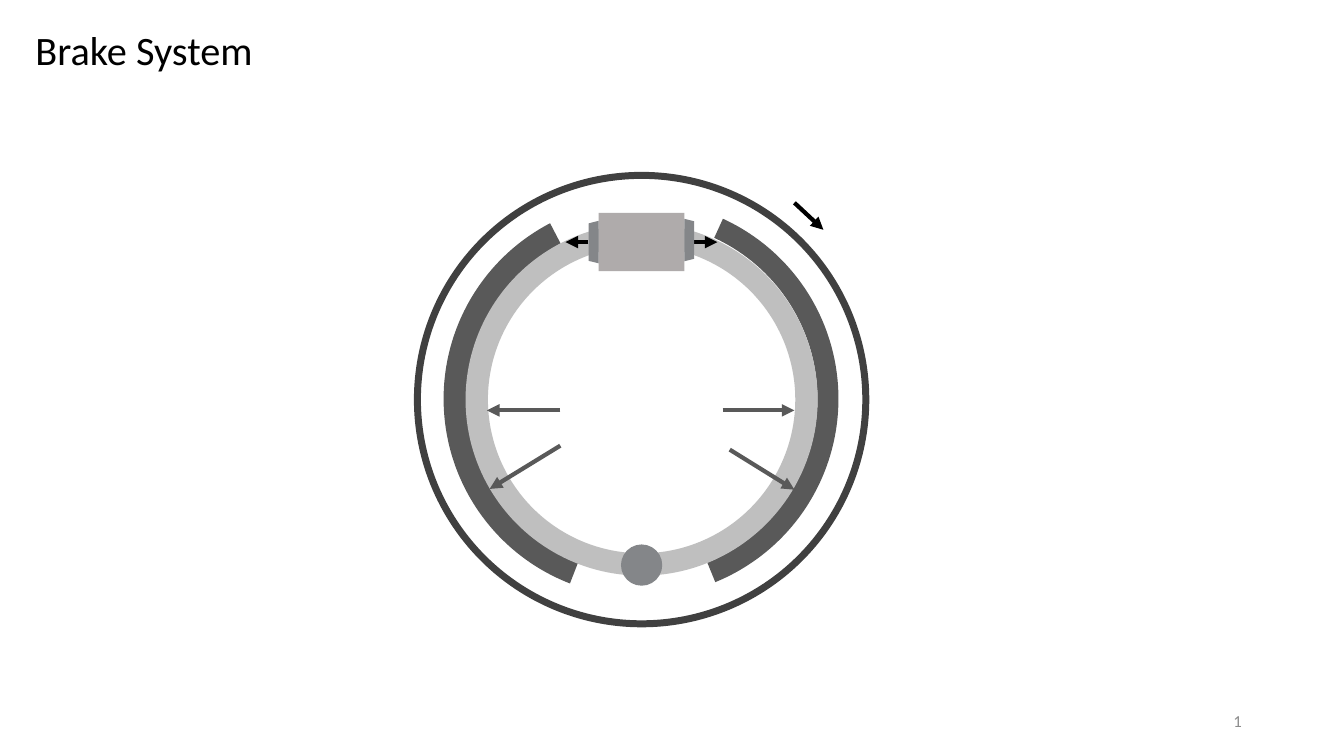
from dataclasses import dataclass
from typing import Optional

from lxml.etree import SubElement
from pptx import Presentation
from pptx.dml.color import RGBColor
from pptx.enum.shapes import MSO_CONNECTOR, MSO_SHAPE
from pptx.enum.text import MSO_ANCHOR, PP_ALIGN
from pptx.oxml.ns import qn
from pptx.shapes.autoshape import Shape
from pptx.slide import Slide
from pptx.util import Cm, Pt

BLACK = RGBColor(0x00, 0x00, 0x00)
DRUM_GREY = RGBColor(0x40, 0x40, 0x40)
LINING_GREY = RGBColor(0x59, 0x59, 0x59)
SHOE_GREY = RGBColor(0xBF, 0xBF, 0xBF)
CYLINDER_GREY = RGBColor(0xAF, 0xAB, 0xAB)
METAL_GREY = RGBColor(0x84, 0x86, 0x89)
NUMBER_GREY = RGBColor(0x8C, 0x8C, 0x8C)

FONT = "Calibri"
CENTER_X = 16.17
CENTER_Y = 10.07
CYLINDER_Y = 6.1


@dataclass
class Part:
    kind: MSO_SHAPE
    center_x: float
    center_y: float
    width: float
    height: float
    color: RGBColor
    outline: Optional[float] = None
    rotation: float = 0
    adjustments: tuple[float, ...] = ()


@dataclass
class Arrow:
    start: tuple[float, float]
    end: tuple[float, float]
    color: RGBColor


WHEEL = [
    Part(MSO_SHAPE.OVAL, CENTER_X, CENTER_Y, 11.3, 11.3, DRUM_GREY, outline=5),
    Part(MSO_SHAPE.BLOCK_ARC, 16.14, 10.05, 9.98, 9.98, LINING_GREY,
         rotation=93.4, adjustments=(120.73, 200.64, 0.053)),
    Part(MSO_SHAPE.BLOCK_ARC, CENTER_X, 10.05, 9.98, 9.98, LINING_GREY,
         rotation=270, adjustments=(120.73, 199.48, 0.058)),
    Part(MSO_SHAPE.OVAL, CENTER_X, CENTER_Y, 8.31, 8.31, SHOE_GREY, outline=16),
    Part(MSO_SHAPE.RECTANGLE, CENTER_X, CYLINDER_Y, 2.16, 1.47, CYLINDER_GREY),
]

ARROWS = [
    Arrow((17.32, CYLINDER_Y), (18.08, CYLINDER_Y), BLACK),
    Arrow((14.83, CYLINDER_Y), (14.25, CYLINDER_Y), BLACK),
    Arrow((20.02, 5.11), (20.75, 5.79), BLACK),
    Arrow((18.21, 10.34), (20.02, 10.34), LINING_GREY),
    Arrow((14.12, 10.34), (12.27, 10.34), LINING_GREY),
    Arrow((14.12, 11.23), (12.34, 12.32), LINING_GREY),
    Arrow((18.39, 11.33), (20.02, 12.34), LINING_GREY),
]

PISTONS_AND_PIN = [
    Part(MSO_SHAPE.TRAPEZOID, 14.96, CYLINDER_Y, 1.07, 0.25, METAL_GREY, rotation=270),
    Part(MSO_SHAPE.TRAPEZOID, 17.37, 6.05, 1.07, 0.25, METAL_GREY, rotation=90),
    Part(MSO_SHAPE.OVAL, CENTER_X, 14.24, 1.04, 1.04, METAL_GREY),
]


def draw_part(page: Slide, part: Part) -> None:
    shape = page.shapes.add_shape(
        part.kind,
        Cm(part.center_x - part.width / 2),
        Cm(part.center_y - part.height / 2),
        Cm(part.width),
        Cm(part.height),
    )
    shape.shadow.inherit = False
    shape.rotation = part.rotation
    for index, value in enumerate(part.adjustments):
        shape.adjustments[index] = value
    if part.outline is None:
        shape.fill.solid()
        shape.fill.fore_color.rgb = part.color
        shape.line.fill.background()
    else:
        shape.fill.background()
        shape.line.color.rgb = part.color
        shape.line.width = Pt(part.outline)


def draw_arrow(page: Slide, arrow: Arrow) -> None:
    start_x, start_y = arrow.start
    end_x, end_y = arrow.end
    connector = page.shapes.add_connector(
        MSO_CONNECTOR.STRAIGHT, Cm(start_x), Cm(start_y), Cm(end_x), Cm(end_y)
    )
    connector.line.color.rgb = arrow.color
    connector.line.width = Pt(3)
    properties = connector._element.spPr
    SubElement(properties.find(qn("a:ln")), qn("a:tailEnd"), type="triangle")
    SubElement(properties, qn("a:effectLst"))


def write_text(box: Shape, text: str, *, size: float, color: RGBColor,
               align: PP_ALIGN = PP_ALIGN.LEFT, spacing: float = 1.0) -> None:
    frame = box.text_frame
    frame.word_wrap = True
    frame.vertical_anchor = MSO_ANCHOR.MIDDLE
    para = frame.paragraphs[0]
    para.alignment = align
    para.line_spacing = spacing
    para.space_before = Pt(0)
    span = para.add_run()
    span.text = text
    span.font.name = FONT
    span.font.size = Pt(size)
    span.font.color.rgb = color


def main() -> None:
    deck = Presentation()
    deck.slide_width = Cm(33.87)
    deck.slide_height = Cm(19.05)
    page = deck.slides.add_slide(deck.slide_layouts.get_by_name("Title Only"))

    title = page.shapes.title
    title.left, title.top = Cm(0.64), Cm(0.81)
    title.width, title.height = Cm(32.59), Cm(1.19)
    write_text(title, "Brake System", size=28.8, color=BLACK, spacing=0.69)

    number = page.shapes.add_textbox(Cm(23.93), Cm(17.65), Cm(7.62), Cm(1.02))
    write_text(number, "1", size=12, color=NUMBER_GREY, align=PP_ALIGN.RIGHT)

    for part in WHEEL:
        draw_part(page, part)
    for arrow in ARROWS:
        draw_arrow(page, arrow)
    for part in PISTONS_AND_PIN:
        draw_part(page, part)

    deck.save("out.pptx")


if __name__ == "__main__":
    main()
